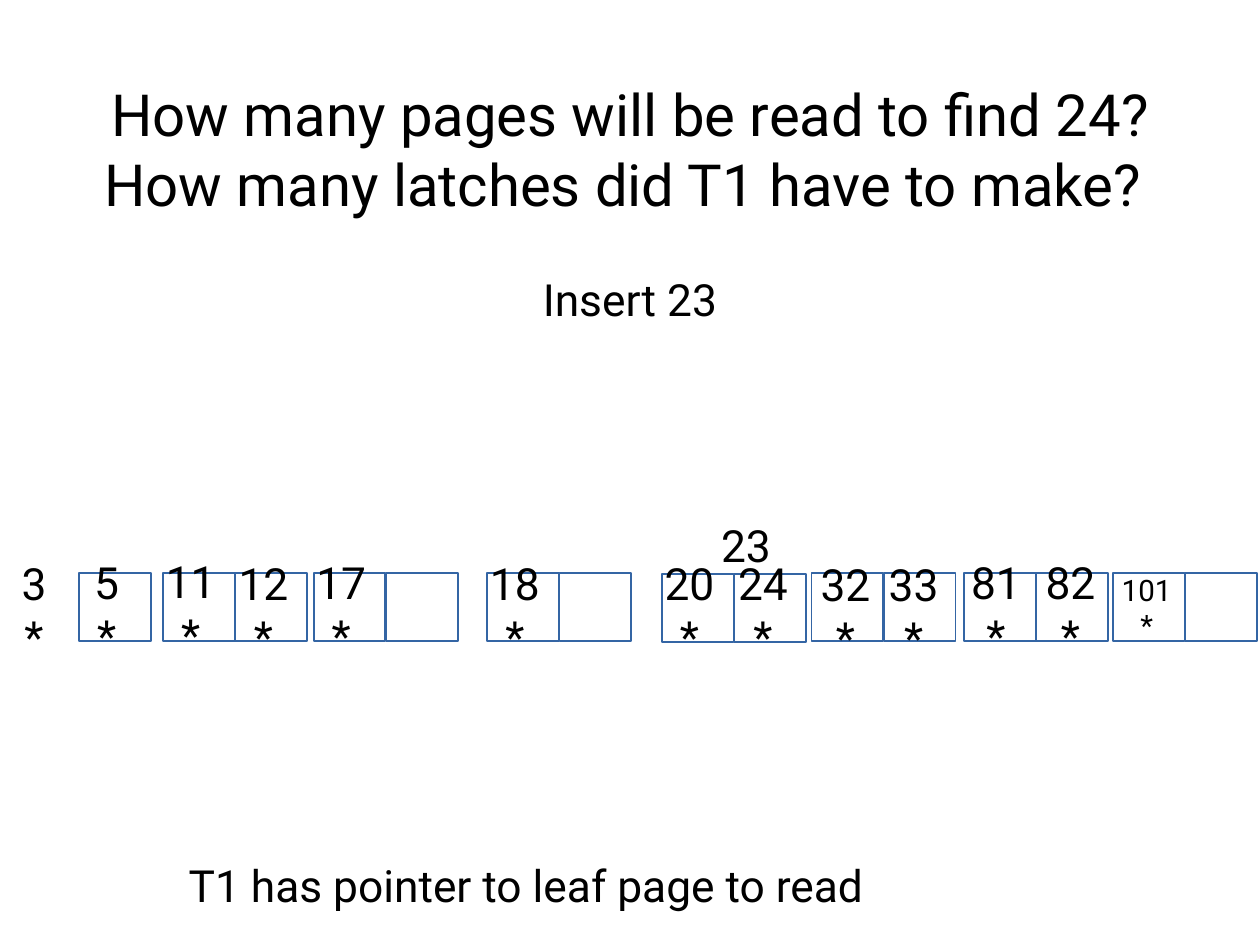
"""Build a slide of B-tree leaf pages with the key 23 being inserted."""
from pptx import Presentation
from pptx.dml.color import RGBColor
from pptx.enum.shapes import MSO_SHAPE
from pptx.enum.text import MSO_ANCHOR, MSO_AUTO_SIZE, PP_ALIGN
from pptx.util import Pt

BLACK = RGBColor(0, 0, 0)
WHITE = RGBColor(255, 255, 255)
BLUE = RGBColor(0x34, 0x65, 0xA4)
FONT = "Roboto"

TITLE = "How many pages will be read to find 24? How many latches did T1 have to make? "
TITLE_BOX = (74.9, 35.3, 874, 170)

# Each page: left, top, number of cells
PAGES = [
    (64.1, 465.8, 1),
    (132.5, 465.8, 2),
    (254.9, 465.8, 2),
    (396, 465.8, 2),
    (537.8, 466.6, 2),
    (659.5, 465.8, 2),
    (783.4, 465.8, 2),
    (904.3, 465.8, 2),
]
CELL_WIDTH, CELL_HEIGHT, CELL_PITCH = 58.3, 55.4, 58.7

# Each entry: key, left, top, font size
ENTRIES = [
    ("3", 13, 469.4, 36),
    ("5", 72, 468.7, 36),
    ("11", 130.3, 468, 36),
    ("12", 189.4, 469.4, 36),
    ("17", 252.7, 468.7, 36),
    ("18", 393.8, 469.4, 36),
    ("20", 535.7, 469.4, 36),
    ("24", 595.4, 469.4, 36),
    ("32", 662.4, 470.2, 36),
    ("33", 717.8, 470.2, 36),
    ("81", 784.8, 468.7, 36),
    ("82", 845.3, 468.7, 36),
    ("101", 907.2, 476.6, 24),
]
LABEL_HEIGHT = 1.42
DIGIT_WIDTH = 0.56
STAR_WIDTH = 0.43
INSET = 4.5
SLACK = 1.3

# Each note: text, left, top, width, height
NOTES = [
    ("T1 has pointer to leaf page to read ", 144.7, 693.4, 574.6, 51.1),
    ("Insert 23", 437, 217.4, 149.8, 51.1),
    ("23", 581.8, 416.9, 49, 51.1),
]


def write(shape, text, size, wrap, left_inset=INSET, right_inset=INSET, end_inset=INSET):
    """Fill a shape with one centred paragraph."""
    frame = shape.text_frame
    frame.text = text
    frame.word_wrap = wrap
    frame.auto_size = MSO_AUTO_SIZE.NONE
    frame.vertical_anchor = MSO_ANCHOR.MIDDLE
    frame.margin_left, frame.margin_right = Pt(left_inset), Pt(right_inset)
    frame.margin_top = frame.margin_bottom = Pt(end_inset)
    paragraph = frame.paragraphs[0]
    paragraph.alignment = PP_ALIGN.CENTER
    font = paragraph.runs[0].font
    font.name, font.size = FONT, Pt(size)
    font.color.rgb = BLACK


def add_cell(slide, left, top):
    """Draw one slot of a leaf page."""
    cell = slide.shapes.add_shape(
        MSO_SHAPE.RECTANGLE, Pt(left), Pt(top), Pt(CELL_WIDTH), Pt(CELL_HEIGHT))
    cell.shadow.inherit = False
    cell.fill.solid()
    cell.fill.fore_color.rgb = WHITE
    cell.line.color.rgb = BLUE
    cell.line.width = Pt(1.5)


def add_entry(slide, key, left, top, size):
    """Write a key in a column just wide enough for its digits, so its star wraps below."""
    digits = len(key) * DIGIT_WIDTH * size
    width = digits + STAR_WIDTH * size + 2 * INSET
    left_inset = INSET - SLACK
    right_inset = width - left_inset - digits - 2 * SLACK
    box = slide.shapes.add_textbox(Pt(left), Pt(top), Pt(width), Pt(LABEL_HEIGHT * size))
    write(box, key + "*", size, True, left_inset, right_inset)


def main():
    """Build and save the slide."""
    presentation = Presentation()
    presentation.slide_width, presentation.slide_height = Pt(1024), Pt(768)
    slide = presentation.slides.add_slide(presentation.slide_layouts[5])

    title = slide.shapes.title
    title.left, title.top, title.width, title.height = map(Pt, TITLE_BOX)
    write(title, TITLE, 47.2, True, 0, 0, 0)

    for left, top, count in PAGES:
        for index in range(count):
            add_cell(slide, left + index * CELL_PITCH, top)
    for entry in ENTRIES:
        add_entry(slide, *entry)
    for text, *place in NOTES:
        write(slide.shapes.add_textbox(*map(Pt, place)), text, 36, False)

    presentation.save("out.pptx")


if __name__ == "__main__":
    main()
